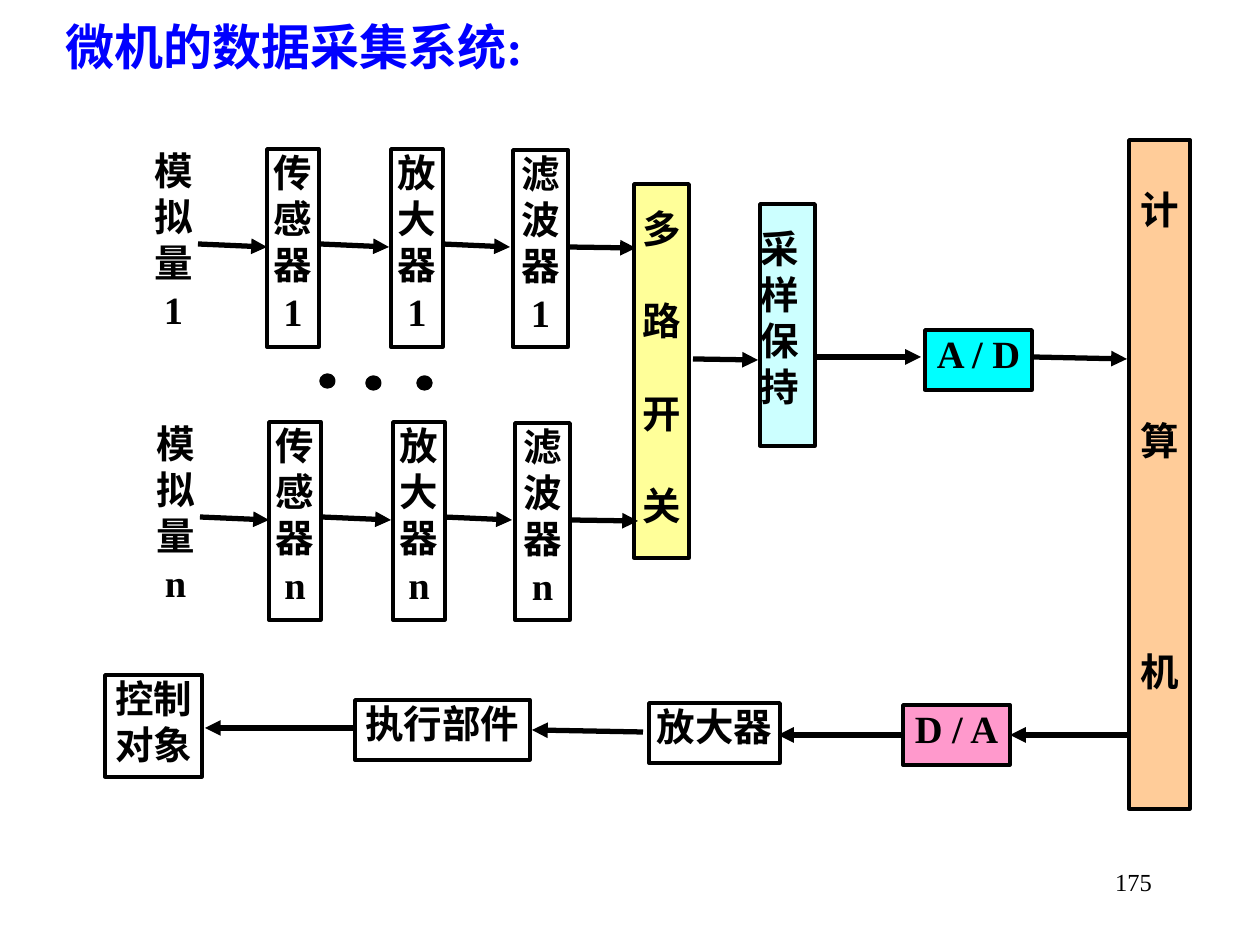
from lxml import etree
from pptx import Presentation
from pptx import util as u
from pptx.dml.color import RGBColor
from pptx.enum import shapes, text
from pptx.oxml.ns import qn

ALIGN = text.PP_ALIGN


def color(value):
    return RGBColor.from_string(value)


class Diagram:
    """Draws boxes, labels, arrows and dots on one slide in a shared style."""

    scale = u.Inches(1) / 126
    ink = "000000"
    font = {"name": "Times New Roman", "size": u.Pt(22), "bold": True}

    def __init__(self, slide):
        self.slide = slide

    def emu(self, *lengths):
        return [round(px * self.scale) for px in lengths]

    def set_text(self, frame, lines, align=ALIGN.CENTER, insets=(0, 0), top=0,
                 gap=0, ink=ink, **font):
        side, edge, first = self.emu(insets[0], insets[1], insets[1] + top)
        layout = {"margin_left": side, "margin_right": side, "margin_top": first,
                  "margin_bottom": edge, "word_wrap": True,
                  "vertical_anchor": text.MSO_ANCHOR.TOP}
        for key, value in layout.items():
            setattr(frame, key, value)
        frame.text = "\n".join(lines)
        for index, line in enumerate(frame.paragraphs):
            line.alignment = align
            if index and gap:
                line.space_before = u.Pt(gap)
            run = line.runs[0]
            for key, value in {**self.font, **font}.items():
                setattr(run.font, key, value)
            run.font.color.rgb = color(ink)

    def outline(self, kind, place, fill, weight):
        shape = self.slide.shapes.add_shape(kind, *self.emu(*place))
        shape.shadow.inherit = False
        if fill:
            shape.fill.solid()
            shape.fill.fore_color.rgb = color(fill)
        else:
            shape.fill.background()
        shape.line.color.rgb = color(self.ink)
        shape.line.width = u.Pt(weight)
        return shape

    def box(self, place, lines, fill=None, **style):
        block = self.outline(shapes.MSO_SHAPE.RECTANGLE, place, fill, 2)
        self.set_text(block.text_frame, lines, **style)

    def dot(self, left, top):
        self.outline(shapes.MSO_SHAPE.OVAL, (left, top, 11, 10), self.ink, 3)

    def label(self, place, lines, **style):
        caption = self.slide.shapes.add_textbox(*self.emu(*place))
        self.set_text(caption.text_frame, lines, **style)

    def arrow(self, *ends):
        flow = self.slide.shapes.add_connector(
            shapes.MSO_CONNECTOR.STRAIGHT, *self.emu(*ends))
        flow.line.color.rgb = color(self.ink)
        flow.line.width = u.Pt(3)
        properties = flow.element.spPr
        etree.SubElement(properties.find(qn("a:ln")), qn("a:tailEnd"), type="triangle")
        etree.SubElement(properties, qn("a:effectLst"))

    def channel(self, number, dx, dy):
        self.label((147 + dx, 147 + dy, 53, 198), ["模拟", "量", number])
        stages = [("传感器", 267, 149, 52, 198), ("放大器", 391, 149, 52, 198),
                  ("滤波器", 513, 150, 55, 197)]
        for stage, left, top, width, height in stages:
            self.box((left + dx, top + dy, width, height), stage + number)
        for start, y1, end, y2 in [(198, 244, 267, 247), (320, 244, 389, 247),
                                   (442, 244, 510, 247), (568, 247, 636, 248)]:
            self.arrow(start + dx, y1 + dy, end + dx, y2 + dy)


def main():
    deck = Presentation()
    deck.slide_width, deck.slide_height = u.Inches(10), u.Inches(7.5)
    diagram = Diagram(deck.slides.add_slide(deck.slide_layouts[6]))

    diagram.label((53, 10, 514, 72), ["微机的数据采集系统:"], align=ALIGN.JUSTIFY,
                  insets=(13, 6), ink="0000FF", size=u.Pt(28))

    diagram.box((1129, 140, 61, 669), "计算机", "FFCC99", top=46, gap=105.6)
    diagram.box((634, 184, 55, 374), "多路开关", "FFFF99", top=21, gap=26.4)
    diagram.box((760, 204, 55, 242), "采样保持", "CCFFFF",
                align=ALIGN.JUSTIFY, top=21)
    diagram.box((925, 330, 107, 60), ["A / D"], "00FFFF")
    diagram.box((903, 705, 107, 60), ["D / A"], "FF99CC")
    diagram.box((649, 703, 131, 60), ["放大器"])
    diagram.box((355, 700, 175, 60), ["执行部件"])
    diagram.box((105, 675, 97, 102), ["控制", "对象"])

    for number, dx, dy in [("1", 0, 0), ("n", 2, 273)]:
        diagram.channel(number, dx, dy)
    for left, top in [(322, 376), (368, 378), (419, 378)]:
        diagram.dot(left, top)

    for ends in [(693, 359, 758, 360), (815, 357, 921, 357), (1032, 357, 1127, 359),
                 (1130, 735, 1010, 735), (901, 735, 778, 735),
                 (643, 732, 532, 730), (353, 728, 205, 728)]:
        diagram.arrow(*ends)

    diagram.label((903, 861, 262, 63), ["175"], align=ALIGN.RIGHT,
                  insets=(13, 6), size=u.Pt(14), bold=False)
    deck.save("out.pptx")


if __name__ == "__main__":
    main()
